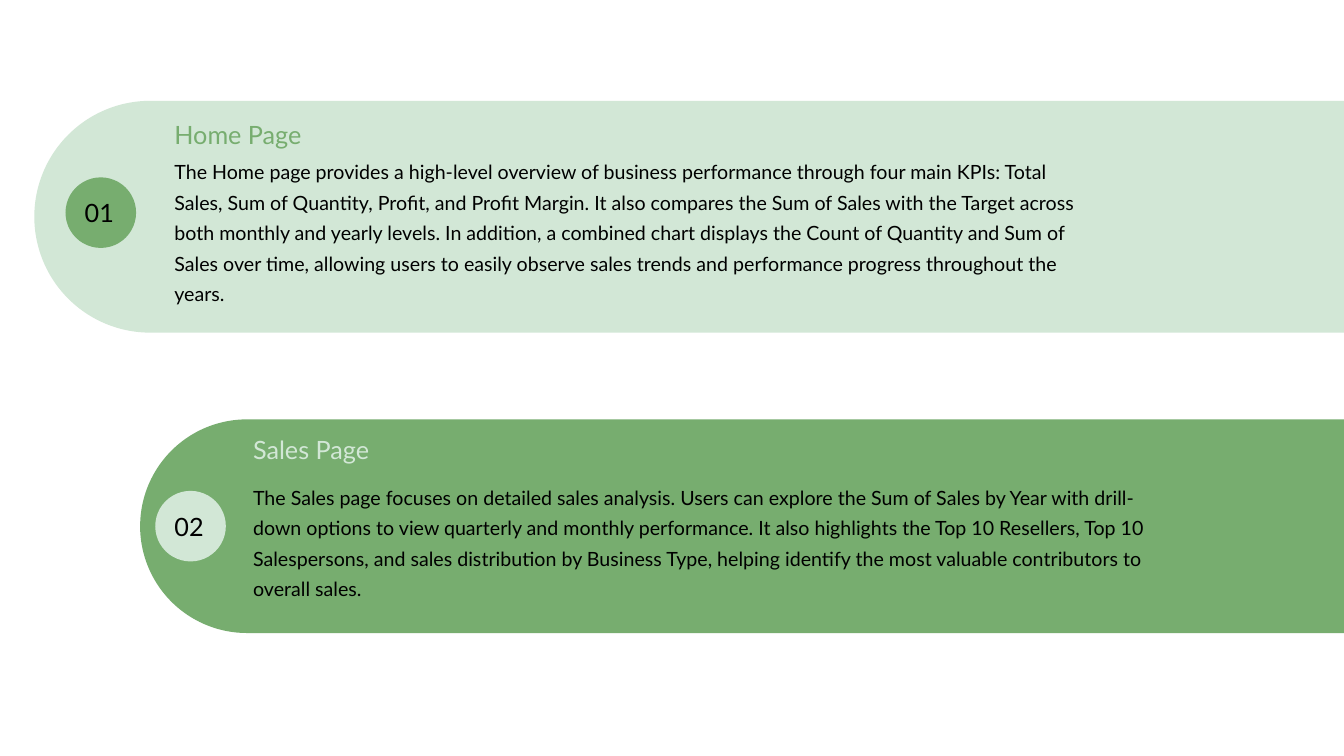
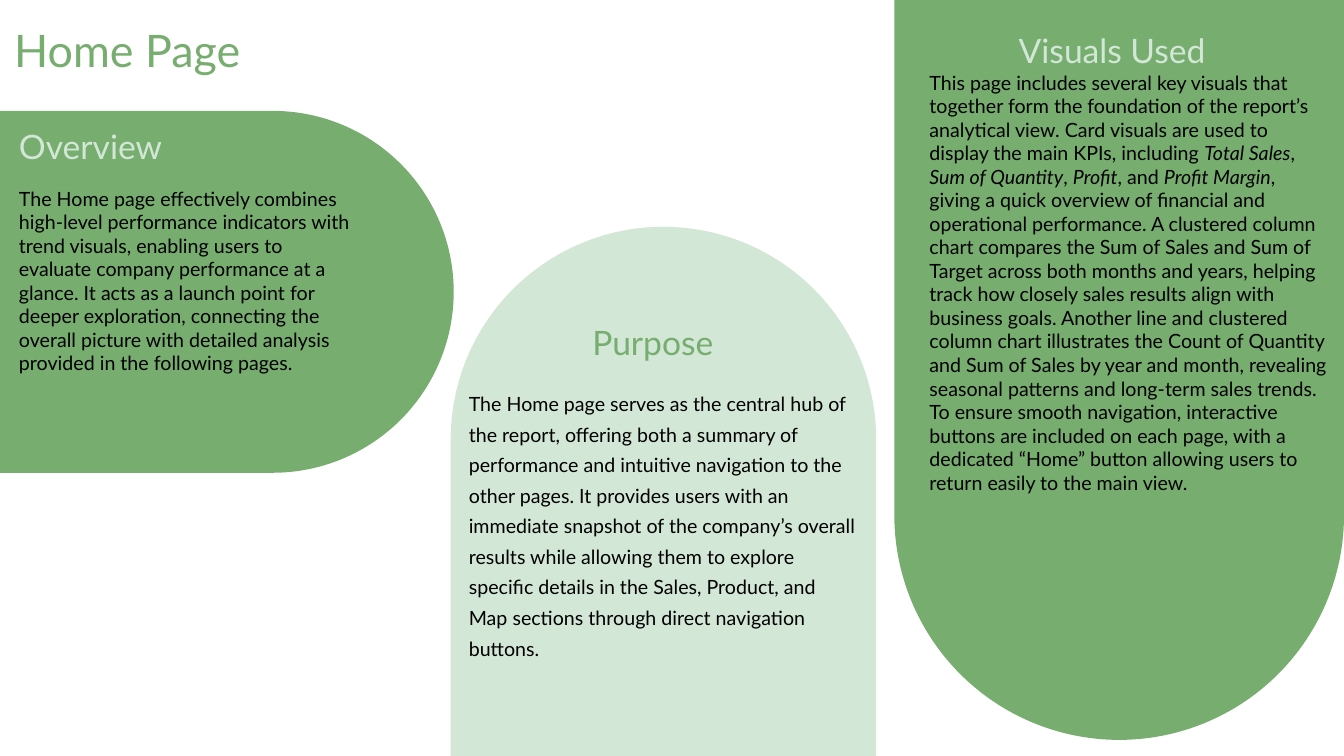
from pptx import Presentation
from pptx.dml.color import RGBColor
from pptx.enum.shapes import MSO_SHAPE
from pptx.enum.text import PP_ALIGN
from pptx.util import Inches, Pt

ROUND, DOT = MSO_SHAPE.ROUND_2_SAME_RECTANGLE, MSO_SHAPE.OVAL
LEFT, MID = PP_ALIGN.LEFT, PP_ALIGN.CENTER
FONT = "Lato"
HEX = {"green": "77AD6F", "pale": "D2E7D6", "ink": "000000"}
OTHER = {"green": "pale", "pale": "green"}
WIDE, HIGH = 13.33, 7.5
DISC = 0.7

HOME = (
    "The Home page provides a high-level overview of business performance through four main "
    "KPIs: Total Sales, Sum of Quantity, Profit, and Profit Margin. It also compares the Sum of "
    "Sales with the Target across both monthly and yearly levels. In addition, a combined chart "
    "displays the Count of Quantity and Sum of Sales over time, allowing users to easily observe "
    "sales trends and performance progress throughout the years.")
SALES = (
    "The Sales page focuses on detailed sales analysis. Users can explore the Sum of Sales by "
    "Year with drill-down options to view quarterly and monthly performance. It also highlights "
    "the Top 10 Resellers, Top 10 Salespersons, and sales distribution by Business Type, helping "
    "identify the most valuable contributors to overall sales.")
OVERVIEW = (
    "The Home page effectively combines high-level performance indicators with trend visuals, "
    "enabling users to evaluate company performance at a glance. It acts as a launch point for "
    "deeper exploration, connecting the overall picture with detailed analysis provided in the "
    "following pages.")
PURPOSE = (
    "The Home page serves as the central hub of the report, offering both a summary of "
    "performance and intuitive navigation to the other pages. It provides users with an "
    "immediate snapshot of the company’s overall results while allowing them to explore specific "
    "details in the Sales, Product, and Map sections through direct navigation buttons.")
VISUALS = (
    "This page includes several key visuals that together form the foundation of the report’s "
    "analytical view. Card visuals are used to display the main KPIs, including *Total Sales*, "
    "*Sum of Quantity*, *Profit*, and *Profit Margin*, giving a quick overview of financial and "
    "operational performance. A clustered column chart compares the Sum of Sales and Sum of "
    "Target across both months and years, helping track how closely sales results align with "
    "business goals. Another line and clustered column chart illustrates the Count of Quantity "
    "and Sum of Sales by year and month, revealing seasonal patterns and long-term sales trends. "
    "To ensure smooth navigation, interactive buttons are included on each page, with a "
    "dedicated “Home” button allowing users to return easily to the main view.")


def place(box, part):
    """Turn a part given relative to a box into slide coordinates."""
    return box[0] + part[0], box[1] + part[1], part[2], part[3]


def write(slide, box, text, size=14, color="ink", align=LEFT, lead=1.0, side=0.05, top=0.05):
    """Add a text box; words between asterisks are italic."""
    frame = slide.shapes.add_textbox(*map(Inches, box)).text_frame
    frame.word_wrap = True
    frame.margin_left = frame.margin_right = Inches(side)
    frame.margin_top = frame.margin_bottom = Inches(top)
    para = frame.paragraphs[0]
    para.alignment, para.line_spacing = align, lead
    for i, part in enumerate(text.split("*")):
        run = para.add_run()
        run.text = part
        font = run.font
        font.name, font.size, font.italic = FONT, Pt(size), i % 2 == 1
        font.color.rgb = RGBColor.from_string(HEX[color])


def draw(slide, kind, box, color):
    shape = slide.shapes.add_shape(kind, *map(Inches, box))
    shape.shadow.inherit = False
    shape.fill.solid()
    shape.fill.fore_color.rgb = RGBColor.from_string(HEX[color])
    shape.line.fill.background()
    return shape


def arch(slide, box, color, turn):
    """Fill a box with an arch whose round end is turned clockwise from the top."""
    x, y, w, h = box
    if turn % 180:
        x, y, w, h = x + (w - h) / 2, y + (h - w) / 2, h, w
    shape = draw(slide, ROUND, (x, y, w, h), color)
    shape.adjustments[0], shape.adjustments[1] = 0.5, 0
    shape.rotation = turn


def band(slide, box, color, num, disc, title, head, text, body):
    """Draw a numbered band; disc is a point and head and body are boxes inside it."""
    arch(slide, box, color, 270)
    spot = place(box, (*disc, DISC, DISC))
    draw(slide, DOT, spot, OTHER[color])
    write(slide, place(spot, (-0.03, 0.17, 0.73, 0.58)), num, size=18, align=MID,
          lead=1.1, side=0, top=0)
    write(slide, place(box, head), title, size=18, color=OTHER[color])
    write(slide, place(box, body), text, lead=1.3)


def panel(slide, box, color, turn, title, head, text, body, style, form):
    """Draw an arch with a heading and body; style and form format the two texts."""
    arch(slide, box, color, turn)
    write(slide, place(box, head), title, size=24, color=OTHER[color], **style)
    write(slide, place(box, body), text, **form)


def pages(slide):
    band(slide, (0.34, 1, WIDE - 0.34, 2.3), "pale", "01", (0.31, 0.76),
         "Home Page", (1.34, 0.13, 9.46, 0.3), HOME, (1.34, 0.47, 9.23, 1.57))
    band(slide, (1.39, 4.16, WIDE - 1.39, 2.12), "green", "02", (0.15, 0.71),
         "Sales Page", (1.07, 0.1, 8.49, 0.45), SALES, (1.07, 0.54, 9.31, 1.26))


def home(slide):
    write(slide, (0.09, 0.18, 7.26, 0.7), "Home Page", size=32, color="green")
    wide, mid = {"side": 0.1}, {"align": MID, "lead": 1.3}
    panel(slide, (0, 1.1, 4.5, 3.59), "green", 90,
          "Overview", (0.09, 0.1, 4.4, 0.6), OVERVIEW, (0.09, 0.7, 3.54, 2.29), wide, wide)
    panel(slide, (4.47, 2.25, 4.22, HIGH - 2.25), "pale", 0,
          "Purpose", (0.12, 0.77, 3.77, 0.7), PURPOSE, (0.13, 1.52, 3.97, 2.83),
          mid, {"lead": 1.3})
    panel(slide, (8.87, 0, WIDE - 8.87, 7.34), "green", 180,
          "Visuals Used", (0.33, 0.13, 3.66, 0.6), VISUALS, (0.25, 0.65, 4.15, 5.89),
          mid, wide)


def main():
    deck = Presentation()
    deck.slide_width, deck.slide_height = Inches(WIDE), Inches(HIGH)
    for build in (pages, home):
        build(deck.slides.add_slide(deck.slide_layouts[6]))
    deck.save("out.pptx")


if __name__ == "__main__":
    main()
